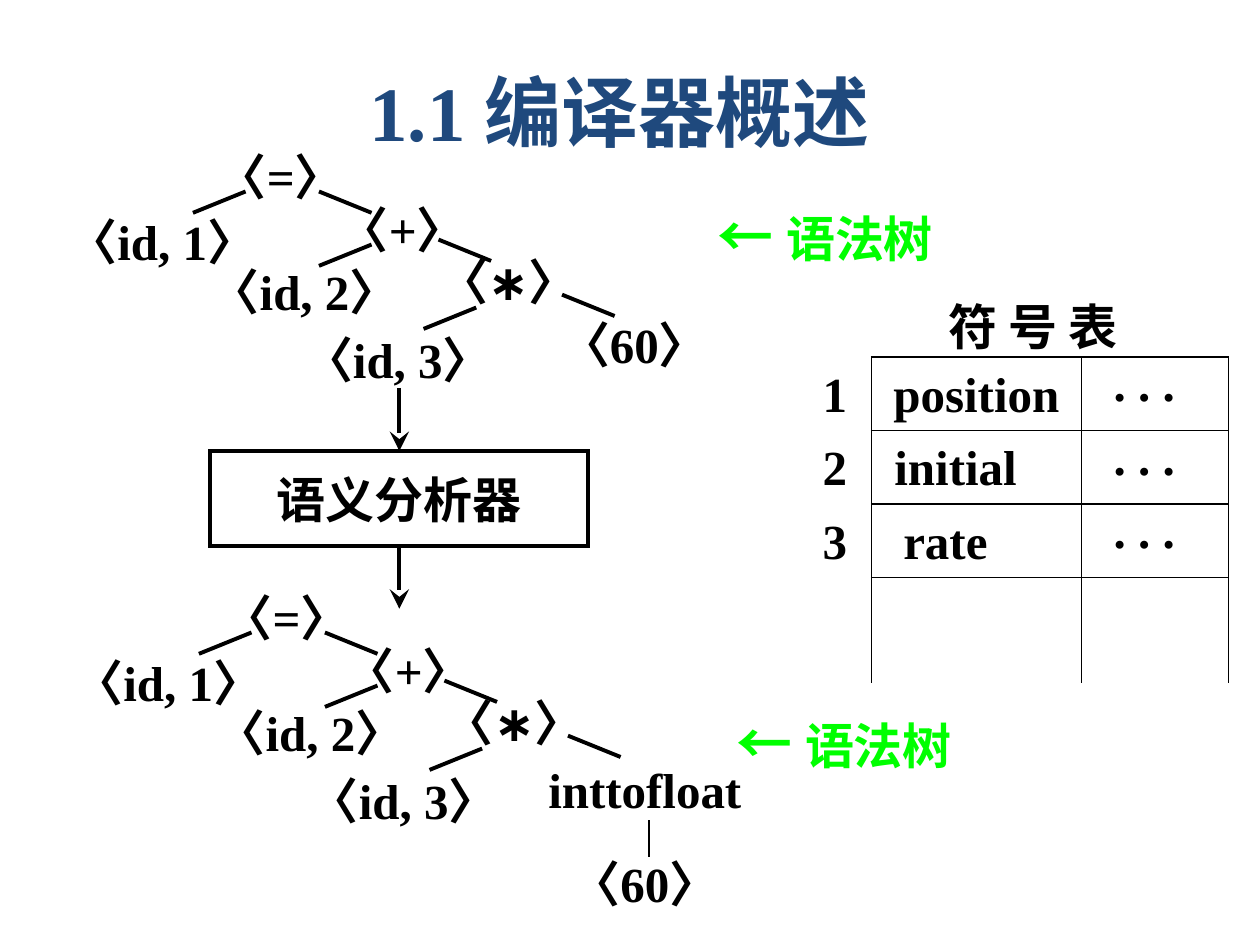
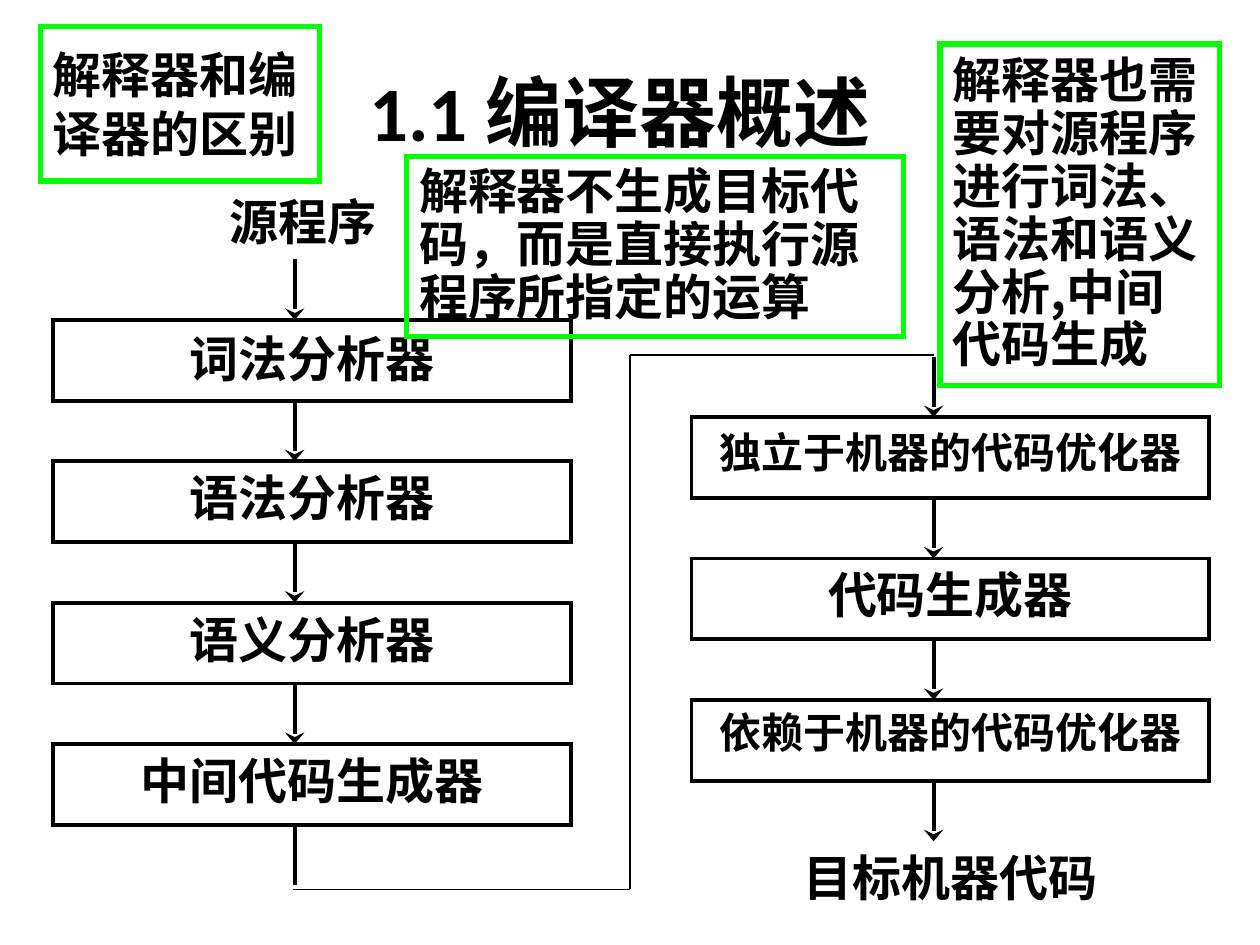
import dataclasses

import pptx
import pptx.dml.color
import pptx.enum.shapes
import pptx.enum.text
import pptx.oxml
import pptx.oxml.ns
import pptx.util

Cm, Pt = pptx.util.Cm, pptx.util.Pt
ALIGN, ANCHOR = pptx.enum.text.PP_ALIGN, pptx.enum.text.MSO_ANCHOR
NAMESPACE = pptx.oxml.ns.nsdecls("a")


@dataclasses.dataclass(frozen=True)
class Theme:
    ink: str = "000000"
    accent: str = "00FF00"
    heading: str = "1F497D"
    serif: str = "Times New Roman"
    sans: str = "Calibri"
    mono: str = "Courier New"
    chinese: str = "Noto Sans CJK SC"
    title: int = 44
    arrow: int = 32
    body: int = 28
    small: int = 24
    thin: float = 1
    medium: float = 2.25
    thick: float = 3


theme = Theme()


def put(slide, box, pieces, color=theme.ink, align=ALIGN.CENTER, anchor=ANCHOR.MIDDLE,
        wrap=True, outline=None, weight=theme.medium, spacing=None):
    """Place bold text; pieces are (text, size, font), outline is a line colour."""
    place = [Cm(length) for length in box]
    if outline:
        holder = slide.shapes.add_shape(pptx.enum.shapes.MSO_SHAPE.RECTANGLE, *place)
        holder.shadow.inherit = False
        holder.fill.background()
        holder.line.color.rgb = pptx.dml.color.RGBColor.from_string(outline)
        holder.line.width = Pt(weight)
        holder.line._get_or_add_ln().append(
            pptx.oxml.parse_xml(f'<a:miter {NAMESPACE} lim="800000"/>'))
    else:
        holder = slide.shapes.add_textbox(*place)
    frame = holder.text_frame
    frame.word_wrap = wrap
    frame.vertical_anchor = anchor
    paragraph = frame.paragraphs[0]
    paragraph.alignment = align
    if spacing:
        paragraph.line_spacing = spacing
    for text, size, font in pieces:
        run = paragraph.add_run()
        run.text = text
        run.font.size, run.font.name, run.font.bold = Pt(size), font, True
        run.font.color.rgb = pptx.dml.color.RGBColor.from_string(color)
        chinese = font if font == theme.mono else theme.chinese
        run.font._element.append(
            pptx.oxml.parse_xml(f'<a:ea {NAMESPACE} typeface="{chinese}"/>'))
    return holder


def connect(slide, x1, y1, x2, y2, weight=theme.medium, head=None):
    """Draw a straight line; head is the length of a wide stealth arrowhead."""
    line = slide.shapes.add_connector(
        pptx.enum.shapes.MSO_CONNECTOR.STRAIGHT, Cm(x1), Cm(y1), Cm(x2), Cm(y2))
    line.line.color.rgb = pptx.dml.color.RGBColor.from_string(theme.ink)
    line.line.width = Pt(weight)
    if head:
        line.line._get_or_add_ln().append(pptx.oxml.parse_xml(
            f'<a:tailEnd {NAMESPACE} type="stealth" w="lg" len="{head}"/>'))
    line._element.spPr.append(pptx.oxml.parse_xml(f"<a:effectLst {NAMESPACE}/>"))


deck = pptx.Presentation()
deck.slide_width, deck.slide_height = Cm(25.4), Cm(19.05)

# Both slides carry the same title
slides = []
for font, color in ((theme.serif, theme.heading), (theme.sans, theme.ink)):
    slide = deck.slides.add_slide(deck.slide_layouts[6])
    put(slide, (1.7, 0.64, 21.59, 3.18), [("1.1 编译器概述", theme.title, font)], color)
    slides.append(slide)
semantics, pipeline = slides

# Symbol table: open at the bottom, row numbers outside
table_left, table_top, row_height = 17.57, 7.2, 1.48
put(semantics, (18.07, 5.85, 5.5, 1.7), [("符 号 表", theme.body, theme.chinese)],
    anchor=ANCHOR.TOP)
symbols = semantics.shapes.add_table(
    4, 2, Cm(table_left), Cm(table_top), Cm(7.19), Cm(6.56)).table
symbols.first_row = symbols.horz_banding = False
symbols.columns[0].width, symbols.columns[1].width = Cm(4.23), Cm(2.96)
entries = (("position", 0.44), ("initial", 0.46), ("rate", 0.64), ("", 0))
for index, (name, indent) in enumerate(entries):
    last = index == len(entries) - 1
    symbols.rows[index].height = Cm(2.12 if last else row_height)
    for column, text in enumerate((name, ". . ." if name else "")):
        cell = symbols.cell(index, column)
        for side in "LRTB":
            paint = ("<a:noFill/>" if last and side == "B" else
                     f'<a:solidFill><a:srgbClr val="{theme.ink}"/></a:solidFill>')
            cell._tc.get_or_add_tcPr().append(pptx.oxml.parse_xml(
                f'<a:ln{side} {NAMESPACE} w="{Pt(theme.thin)}">{paint}</a:ln{side}>'))
        cell.fill.background()
        cell.margin_left = Cm(0 if column else indent)
        cell.margin_right = Cm(0.43 if column else 0)
        cell.margin_top, cell.margin_bottom = Cm(0.02 if column else 0.23), Cm(0)
        paragraph = cell.text_frame.paragraphs[0]
        paragraph.text = text
        paragraph.alignment = ALIGN.CENTER if column else ALIGN.LEFT
        for run in paragraph.runs:
            run.font.size, run.font.name, run.font.bold = Pt(theme.body), theme.serif, True
            run.font.color.rgb = pptx.dml.color.RGBColor.from_string(theme.ink)
    if name:
        put(semantics, (15.88, table_top + index * row_height, 1.9, 1.27),
            [(str(index + 1), theme.body, theme.serif)], anchor=ANCHOR.TOP)

# Semantic analyser between the two trees
put(semantics, (4.24, 9.1, 7.62, 1.9), [("语义分析器", theme.body, theme.chinese)],
    outline=theme.ink)
for start in (7.82, 11):
    connect(semantics, 8.05, start, 8.05, start + 1.27, head="lg")

# Syntax trees before and after: same nodes and branches, different last leaf
node_width = 5
nodes = (("〈=〉", 5.66, 3.02), ("〈+〉", 8.12, 4.09), ("〈∗〉", 10.25, 5.13),
         ("〈id, 1〉", 3.27, 4.32), ("〈id, 2〉", 6.14, 5.33), ("〈id, 3〉", 8.02, 6.71))
branches = ((4.95, 3.86, -1), (6.43, 3.86, 1), (8.84, 4.83, 1),
            (11.33, 5.94, 1), (9.6, 6.2, -1), (7.49, 4.93, -1))
before = (("〈60〉", 12.79, 6.4),)
after = (("inttofloat", 12.88, 6.49), ("〈60〉", 12.88, 8.38))
for right, down, leaves in ((0, 0, before), (0.12, 8.89, after)):
    for text, center, y in nodes + leaves:
        put(semantics, (center - node_width / 2 + right, y + down, node_width, 1.06),
            [(text, theme.body, theme.serif)], wrap=False)
    for x, y, direction in branches:
        connect(semantics, x + right, y + down,
                x + right + 1.06 * direction, y + down + 0.43)
connect(semantics, 13.08, 16.54, 13.08, 17.27, theme.thin)
for x, y in ((14.07, 3.89), (14.45, 14.12)):
    put(semantics, (x, y, 5.13, 1.7),
        [("← ", theme.arrow, theme.serif), ("语法树", theme.body, theme.serif)],
        theme.accent, wrap=False)

# Compiler phases in two columns
phase_width, phase_height, pitch = 10.44, 1.63, 2.85
gap = pitch - phase_height
front_end = (1.07, 6.45, 5.94, ("词法分析器", "语法分析器", "语义分析器", "中间代码生成器"))
back_end = (13.94, 8.41, 18.82,
            ("独立于机器的代码优化器", "代码生成器", "依赖于机器的代码优化器"))
for left, top, axis, phases in (front_end, back_end):
    for index, phase in enumerate(phases):
        y = top + index * pitch
        size = theme.small if len(phase) > 10 else theme.body
        box = put(pipeline, (left, y, phase_width, phase_height),
                  [(phase, size, theme.serif)], anchor=ANCHOR.TOP, outline=theme.ink)
        box.text_frame.margin_top = Cm(0.13 if index else 0.18)
        connect(pipeline, axis, y - gap, axis, y, head="med")
for text, left, top in (("源程序", 0.89, 3.73), ("目标机器代码", 13.94, 16.97)):
    put(pipeline, (left, top, phase_width, phase_height),
        [(text, theme.body, theme.serif)], anchor=ANCHOR.TOP)
connect(pipeline, 18.82, 15.74, 18.82, 16.96, head="med")

# Path from the front end round to the back end
connect(pipeline, 5.94, 16.63, 5.94, 17.85)
corners = ((5.9, 17.93), (12.7, 17.93), (12.7, 7.15), (18.82, 7.15))
for start, end in zip(corners, corners[1:]):
    connect(pipeline, *start, *end, theme.thin)

# Remarks on interpreters
remarks = (
    ((0.81, 0.53, 5.64, 3.12), 1.0, [("解释器和编译器的区别", theme.mono)]),
    ((8.2, 3.15, 10.01, 3.63), 0.9,
     [("解释器不生成目标代码，而是直接执行源程序所指定的运算", theme.mono)]),
    ((18.95, 0.89, 5.64, 6.88), 0.9,
     [("解释器也需要对源程序进行词法", theme.mono), ("、", theme.chinese),
      ("语法和语义分析", theme.mono), (",", theme.chinese), ("中间代码生成", theme.mono)]),
)
for box, spacing, parts in remarks:
    put(pipeline, box, [(text, theme.body, font) for text, font in parts],
        align=ALIGN.LEFT, outline=theme.accent, weight=theme.thick, spacing=spacing)

deck.save("out.pptx")
